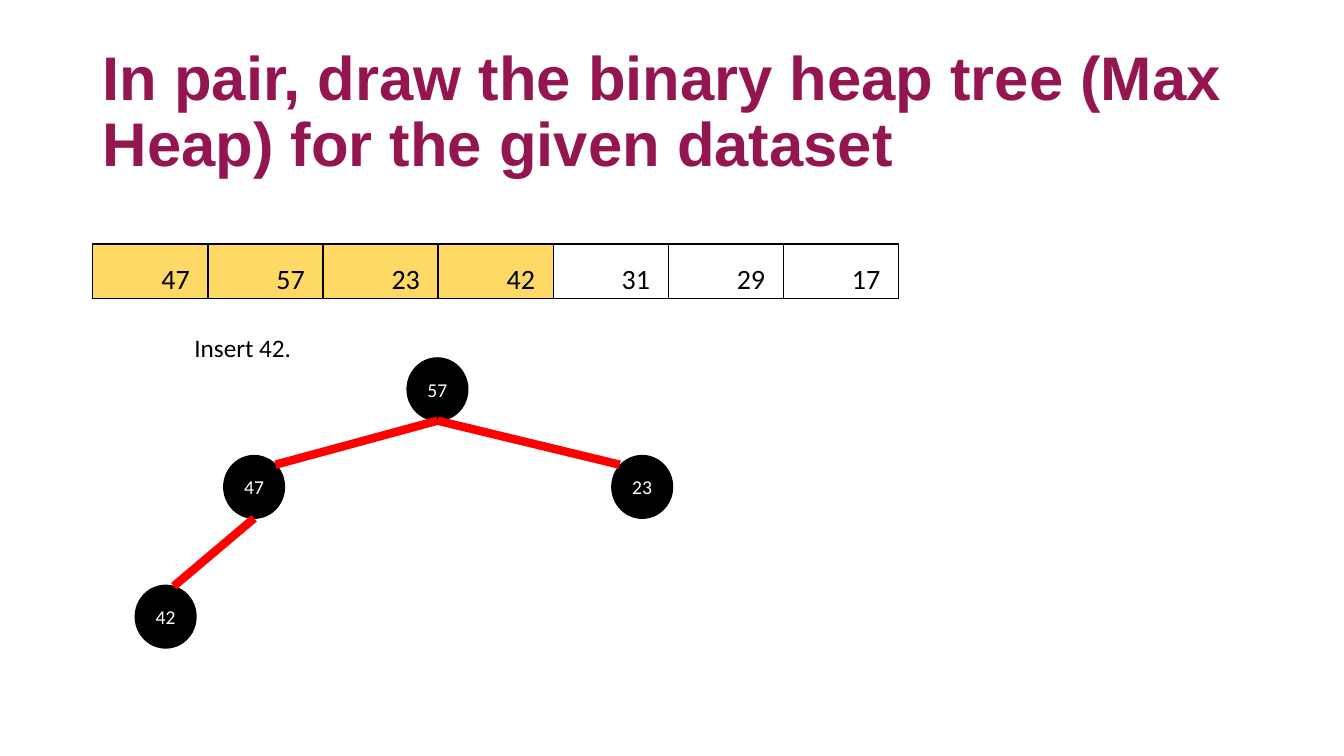
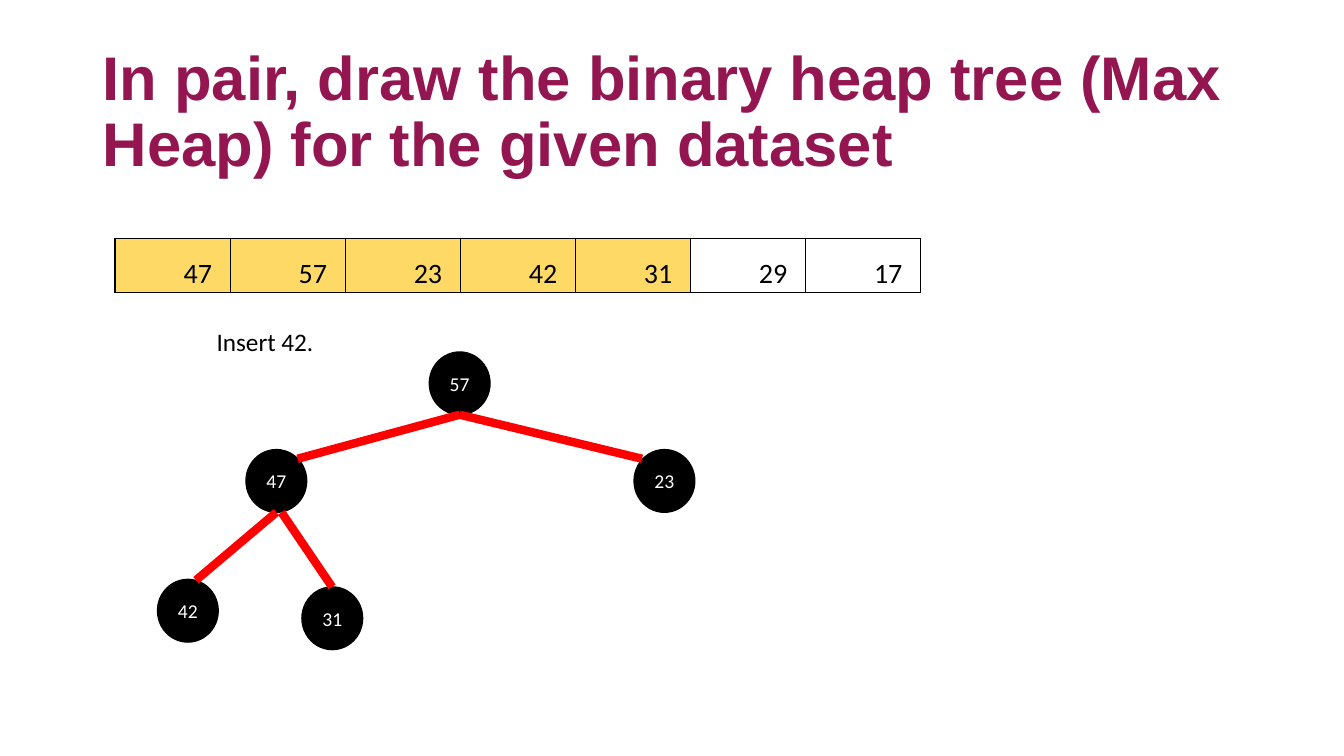
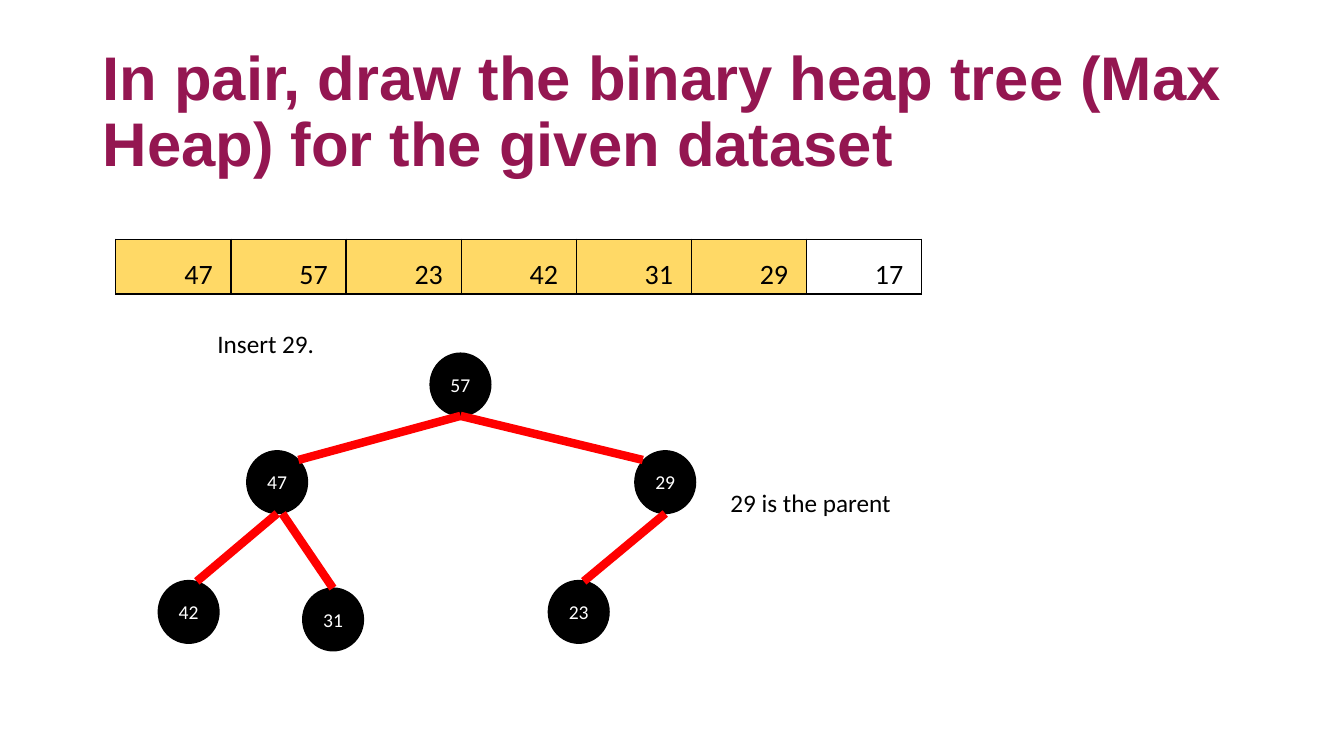
from lxml.etree import SubElement
from pptx import Presentation
from pptx.dml.color import RGBColor
from pptx.enum.shapes import MSO_CONNECTOR, MSO_SHAPE
from pptx.enum.text import MSO_ANCHOR, MSO_AUTO_SIZE, PP_ALIGN
from pptx.oxml.ns import qn
from pptx.util import Cm, Pt

PLUM = RGBColor(0x94, 0x16, 0x51)
YELLOW = RGBColor(0xFF, 0xD9, 0x66)
RED = RGBColor(0xFF, 0x00, 0x00)
BLACK = RGBColor(0x00, 0x00, 0x00)
WHITE = RGBColor(0xFF, 0xFF, 0xFF)

TITLE = "In pair, draw the binary heap tree (Max Heap) for the given dataset"
DATASET = (47, 57, 23, 42, 31, 29, 17)
CELL_W, CELL_H = 2.9, 1.38
NODE_W, NODE_H = 1.53, 1.58

NODES = {
    "root": (7.92, 2.87),
    "left": (3.3, 5.33),
    "right": (13.08, 5.33),
    "left-left": (1.07, 8.6),
    "left-right": (4.71, 8.79),
    "right-left": (10.9, 8.6),
}
EDGES = {
    "left": ("root", 0, 1.3, 0.23),
    "right": ("root", 0, 0.2, 0.23),
    "left-left": ("left", 0, 0.97, 0.02),
    "left-right": ("left", 0.13, 0.76, 0),
    "right-left": ("right", 0, 0.89, 0.02),
}
INSERT_NOTE = (2.31, 2.11, 2.97)
PARENT_NOTE = (15.24, 6.12, 4.75)

STEPS = (
    {
        "origin": (2.34, 6.15),
        "done": 4,
        "heap": {"root": 57, "left": 47, "right": 23, "left-left": 42},
        "notes": {INSERT_NOTE: "Insert 42."},
    },
    {
        "origin": (2.9, 6),
        "done": 5,
        "heap": {"root": 57, "left": 47, "right": 23, "left-left": 42, "left-right": 31},
        "notes": {INSERT_NOTE: "Insert 42."},
    },
    {
        "origin": (2.92, 6.03),
        "done": 6,
        "heap": {"root": 57, "left": 47, "right": 29, "left-left": 42,
                 "left-right": 31, "right-left": 23},
        "notes": {INSERT_NOTE: "Insert 29.", PARENT_NOTE: "29 is the parent"},
    },
)


def add_run(p, text, size, color, font="Calibri", bold=False):
    r = p.add_run()
    r.text = text
    r.font.name = font
    r.font.size = Pt(size)
    r.font.bold = bold
    r.font.color.rgb = color


def add_title(s):
    tf = s.shapes.add_textbox(Cm(2.34), Cm(1.02), Cm(30.84), Cm(3.68)).text_frame
    tf.word_wrap = True
    tf.vertical_anchor = MSO_ANCHOR.MIDDLE
    p = tf.paragraphs[0]
    p.line_spacing = 0.9
    add_run(p, TITLE, 44, PLUM, "Arial", True)


def add_note(s, x, y, width, text):
    tf = s.shapes.add_textbox(Cm(x), Cm(y), Cm(width), Cm(1.03)).text_frame
    tf.word_wrap = False
    tf.auto_size = MSO_AUTO_SIZE.SHAPE_TO_FIT_TEXT
    add_run(tf.paragraphs[0], text, 18, BLACK)


def add_borders(cell):
    tcPr = cell._tc.get_or_add_tcPr()
    for side in ("L", "R", "T", "B"):
        ln = SubElement(tcPr, qn(f"a:ln{side}"), w=str(Pt(1)))
        fill = SubElement(ln, qn("a:solidFill"))
        SubElement(fill, qn("a:srgbClr"), val=str(BLACK))


def add_dataset(s, x, y, done):
    count = len(DATASET)
    table = s.shapes.add_table(1, count, Cm(x), Cm(y),
                               Cm(CELL_W * count), Cm(CELL_H)).table
    table.first_row = table.horz_banding = False
    for i, value in enumerate(DATASET):
        table.columns[i].width = Cm(CELL_W)
        cell = table.cell(0, i)
        cell.margin_left = cell.margin_right = Cm(0.18)
        cell.margin_top = cell.margin_bottom = 0
        cell.vertical_anchor = MSO_ANCHOR.MIDDLE
        add_borders(cell)
        if i < done:
            cell.fill.solid()
            cell.fill.fore_color.rgb = YELLOW
        else:
            cell.fill.background()
        p = cell.text_frame.paragraphs[0]
        p.alignment = PP_ALIGN.CENTER
        p.line_spacing = 1.5
        p._p.get_or_add_pPr().set("marL", str(Cm(1.27)))
        add_run(p, str(value), 20, BLACK)


def add_node(s, x, y, value):
    sp = s.shapes.add_shape(MSO_SHAPE.OVAL, Cm(x), Cm(y), Cm(NODE_W), Cm(NODE_H))
    sp.shadow.inherit = False
    sp.fill.solid()
    sp.fill.fore_color.rgb = BLACK
    sp.line.color.rgb = BLACK
    sp.line.width = Pt(1)
    tf = sp.text_frame
    tf.word_wrap = False
    tf.vertical_anchor = MSO_ANCHOR.MIDDLE
    p = tf.paragraphs[0]
    p.alignment = PP_ALIGN.CENTER
    add_run(p, str(value), 14, WHITE)


def add_edge(s, x1, y1, x2, y2):
    line = s.shapes.add_connector(MSO_CONNECTOR.STRAIGHT, Cm(x1), Cm(y1), Cm(x2), Cm(y2))
    line.line.color.rgb = RED
    line.line.width = Pt(6)
    SubElement(line._element.spPr, qn("a:effectLst"))


def add_heap(s, x, y, heap):
    for name, value in heap.items():
        dx, dy = NODES[name]
        add_node(s, x + dx, y + dy, value)
    for name, (parent, shift, end_x, end_y) in EDGES.items():
        if name in heap:
            px, py = NODES[parent]
            cx, cy = NODES[name]
            add_edge(s, x + px + NODE_W / 2 + shift, y + py + NODE_H,
                     x + cx + end_x, y + cy + end_y)


def add_step(prs, origin, done, heap, notes):
    s = prs.slides.add_slide(prs.slide_layouts[6])
    x, y = origin
    add_title(s)
    add_dataset(s, x, y, done)
    add_heap(s, x, y, heap)
    for (dx, dy, width), text in notes.items():
        add_note(s, x + dx, y + dy, width, text)


def main():
    prs = Presentation()
    prs.slide_width, prs.slide_height = Cm(33.87), Cm(19.05)
    for step in STEPS:
        add_step(prs, **step)
    prs.save("out.pptx")


if __name__ == "__main__":
    main()
